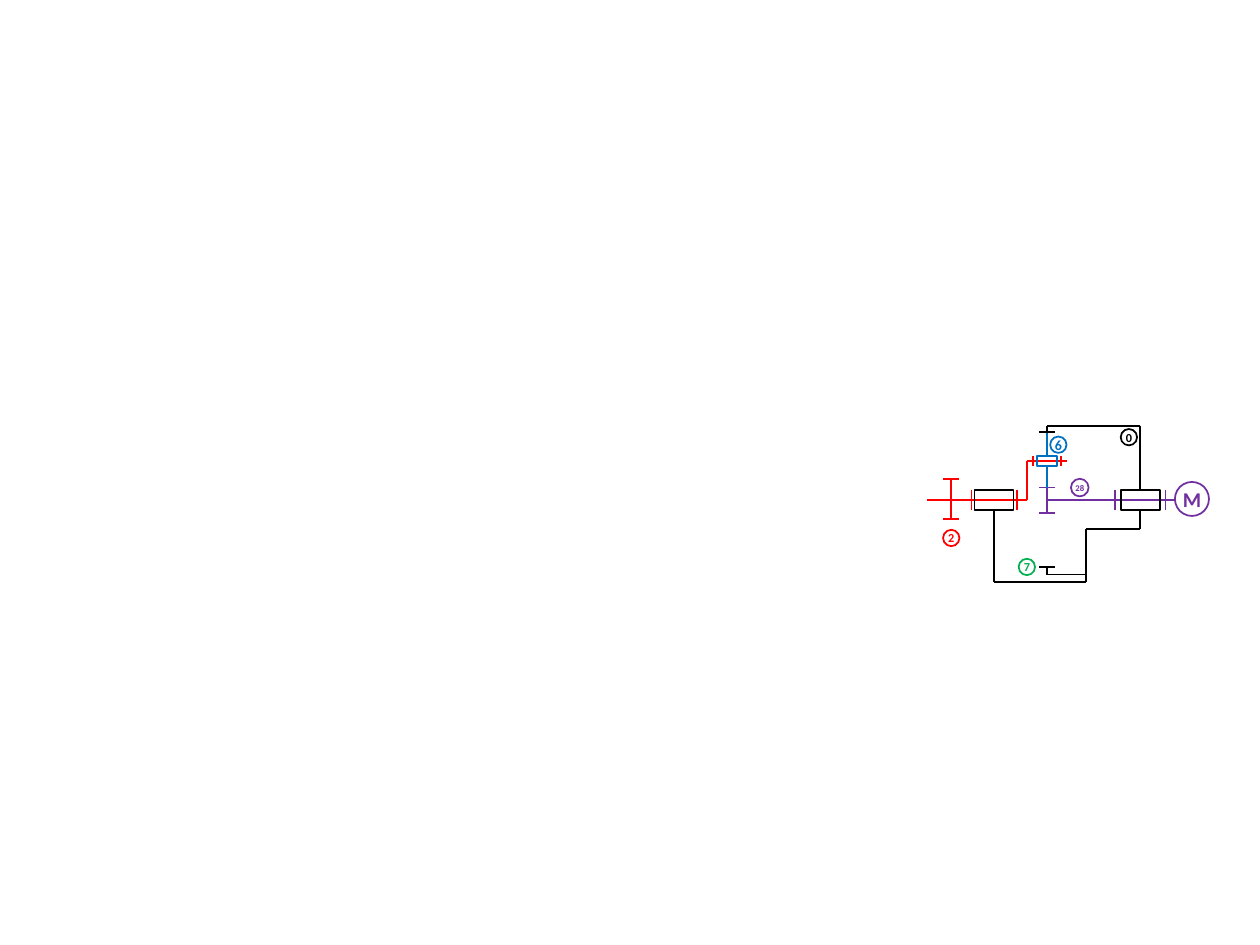
from dataclasses import dataclass
from itertools import pairwise

from pptx import Presentation
from pptx import util as u
from pptx.dml.color import RGBColor
from pptx.enum import shapes, text
from pptx.oxml.ns import qn
from lxml import etree

COLUMNS, ROWS = 100, 75
TOP, BOTTOM = 0, 2


@dataclass(frozen=True)
class Theme:
    frame: str = "000000"
    input: str = "FF0000"
    planet: str = "0070C0"
    motor: str = "7030A0"
    ring: str = "00B050"
    font: str = "Calibri"
    line_width: float = 1
    motor_size: int = 12
    planet_size: int = 8
    badge_size: int = 7
    small_size: int = 5


def apply_format(target, values):
    for name, value in values.items():
        setattr(target, name, value)


class GearDiagram:
    """Draws on one page; every length is in grid columns and rows."""

    def __init__(self, deck, theme):
        self.theme = theme
        self.page = deck.slides.add_slide(deck.slide_layouts[6])
        self.column = deck.slide_width / COLUMNS
        self.row = deck.slide_height / ROWS

    def place(self, x, y):
        return round(x * self.column), round(y * self.row)

    def stroke(self, item, color):
        item.line.color.rgb = RGBColor.from_string(color)
        item.line.width = u.Pt(self.theme.line_width)

    def outline(self, kind, center, size, color):
        """Add an unfilled shape around its centre."""
        (x, y), (width, height) = center, size
        box = self.page.shapes.add_shape(
            kind, *self.place(x - width / 2, y - height / 2), *self.place(width, height))
        box.shadow.inherit = False
        box.fill.background()
        self.stroke(box, color)
        return box

    def line(self, start, end, color):
        link = self.page.shapes.add_connector(
            shapes.MSO_CONNECTOR.STRAIGHT, *self.place(*start), *self.place(*end))
        self.stroke(link, color)
        etree.SubElement(link._element.spPr, qn("a:effectLst"))
        return link

    def route(self, points, color, begin=None, end=None):
        """Join the points by lines; begin and end are (box, side) pairs."""
        links = [self.line(*pair, color) for pair in pairwise(points)]
        if begin:
            links[0].begin_connect(*begin)
        if end:
            links[-1].end_connect(*end)

    def tooth(self, x, y, color):
        """Add the short bar that ends a gear."""
        self.line((x - 0.65, y), (x + 0.65, y), color)

    def bearing(self, center, size, color, flange_gap, flange_color):
        """Add a sleeve with a shaft flange on either side."""
        x, y = center
        half = size[1] / 2
        for side in (x - flange_gap, x + flange_gap):
            self.line((side, y - half), (side, y + half), flange_color)
        return self.outline(shapes.MSO_SHAPE.RECTANGLE, center, size, color)

    def badge(self, label, center, diameter, size, color):
        box = self.outline(shapes.MSO_SHAPE.OVAL, center, (diameter, diameter), color)
        frame = box.text_frame
        apply_format(frame, dict(
            margin_left=0, margin_right=0, margin_top=0, margin_bottom=0,
            word_wrap=False, vertical_anchor=text.MSO_ANCHOR.MIDDLE))
        para = frame.paragraphs[0]
        para.alignment = text.PP_ALIGN.CENTER
        span = para.add_run()
        span.text = label
        apply_format(span.font, dict(name=self.theme.font, size=u.Pt(size), bold=True))
        span.font.color.rgb = RGBColor.from_string(color)


def main():
    deck = Presentation()
    deck.slide_width, deck.slide_height = u.Inches(10), u.Inches(7.5)
    theme = Theme()
    diagram = GearDiagram(deck, theme)

    shaft_y, planet_y = 39.7, 36.6
    input_x, left_x, crank_x, gear_x, step_x, right_x = 75.5, 78.9, 81.5, 83.1, 86.2, 90.5
    ring_top, ring_bottom, frame_top, frame_bottom = 34.3, 45, 33.8, 46.2
    sun_top, sun_bottom = 38.7, 40.7

    # Input shaft, its gear and the planet carrier
    diagram.route([(73.6, shaft_y), (crank_x, shaft_y), (crank_x, planet_y),
                   (84.7, planet_y)], theme.input)
    diagram.line((input_x, 38), (input_x, 41.2), theme.input)
    for y in (38, 41.2):
        diagram.tooth(input_x, y, theme.input)

    # Motor shaft and sun gear
    diagram.line((gear_x, shaft_y), (93.3, shaft_y), theme.motor)
    diagram.line((gear_x, sun_top), (gear_x, sun_bottom), theme.motor)
    for y in (sun_top, sun_bottom):
        diagram.tooth(gear_x, y, theme.motor)

    # Bearings
    sleeve = (3.1, 1.6)
    left = diagram.bearing((left_x, shaft_y), sleeve, theme.frame, 1.8, theme.input)
    right = diagram.bearing((right_x, shaft_y), sleeve, theme.frame, 2, theme.motor)
    planet = diagram.bearing((gear_x, planet_y), (1.6, 0.8), theme.planet, 1.1, theme.input)

    # Planet gear
    diagram.route([(gear_x, ring_top), (gear_x, 36.2)], theme.planet, end=(planet, TOP))
    diagram.route([(gear_x, sun_top), (gear_x, 37)], theme.planet, end=(planet, BOTTOM))

    # Fixed frame and ring gears
    diagram.route([(gear_x, ring_top), (gear_x, frame_top), (right_x, frame_top),
                   (right_x, 38.9)], theme.frame, end=(right, TOP))
    diagram.route([(left_x, 40.5), (left_x, frame_bottom), (step_x, frame_bottom),
                   (step_x, 42), (right_x, 42), (right_x, 40.5)],
                  theme.frame, begin=(left, BOTTOM), end=(right, BOTTOM))
    diagram.route([(gear_x, ring_bottom), (gear_x, 45.6), (step_x, 45.6)], theme.frame)
    for y in (ring_top, ring_bottom):
        diagram.tooth(gear_x, y, theme.frame)

    for badge in (
        ("M", (94.6, 39.6), 2.7, theme.motor_size, theme.motor),
        ("28", (85.7, 38.7), 1.4, theme.small_size, theme.motor),
        ("0", (89.6, 34.7), 1.3, theme.badge_size, theme.frame),
        ("6", (84, 35.3), 1.3, theme.planet_size, theme.planet),
        ("2", (input_x, 42.7), 1.3, theme.badge_size, theme.input),
        ("7", (81.5, 45), 1.3, theme.badge_size, theme.ring),
    ):
        diagram.badge(*badge)

    deck.save("out.pptx")


if __name__ == "__main__":
    main()
